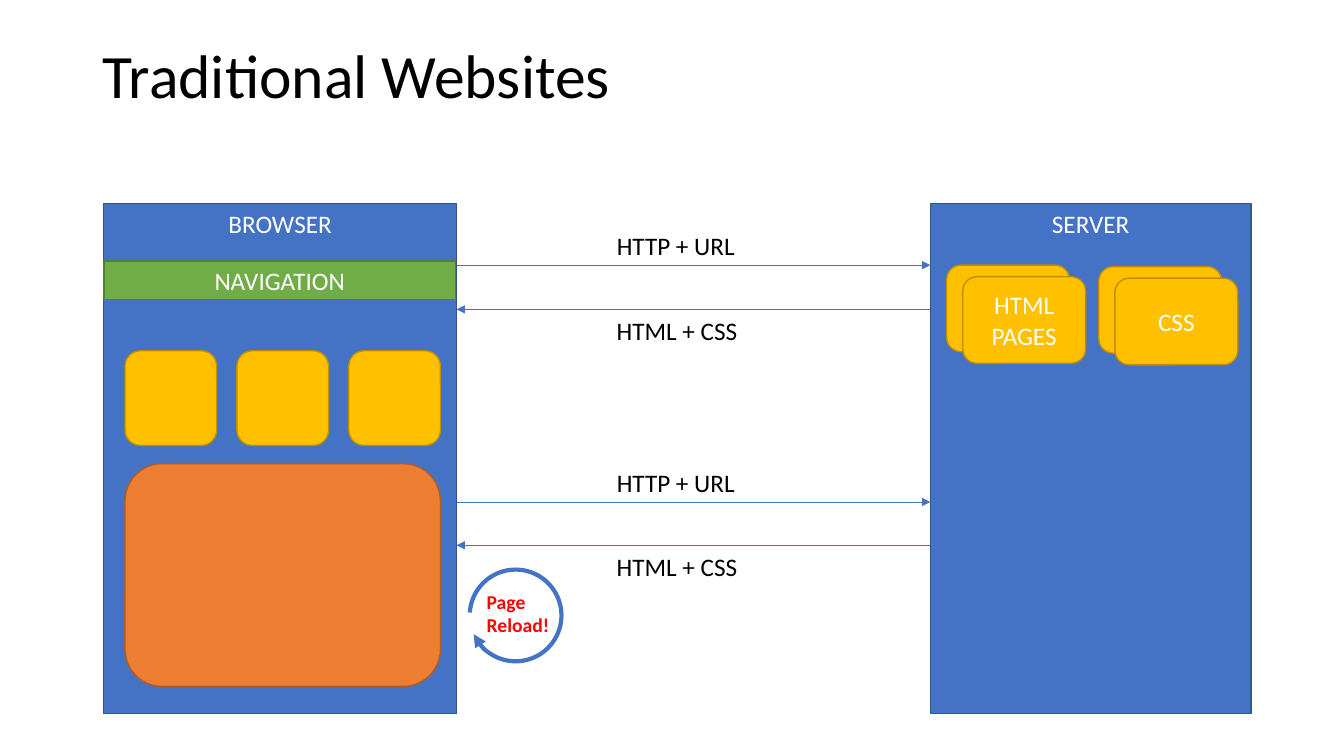
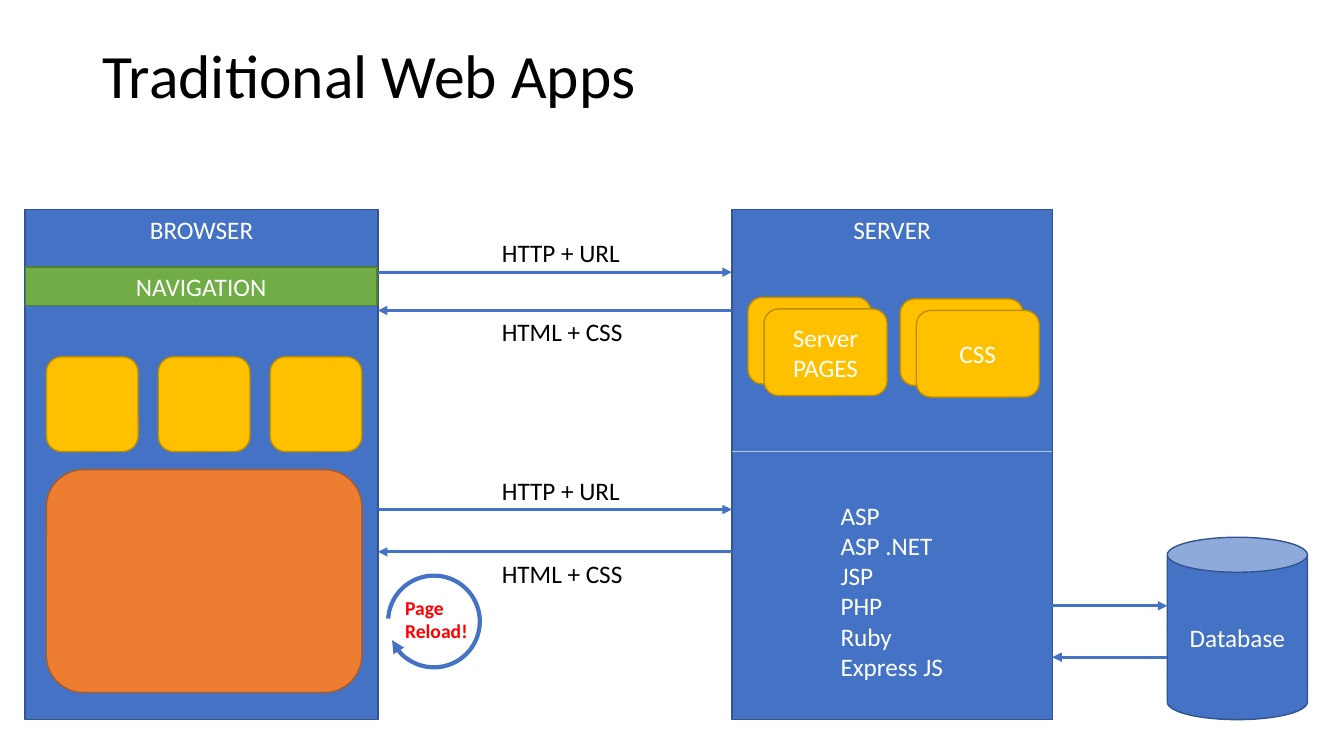
from dataclasses import dataclass

from lxml import etree
from pptx import Presentation
from pptx.dml.color import RGBColor
from pptx.enum.shapes import MSO_CONNECTOR, MSO_SHAPE
from pptx.enum.text import MSO_ANCHOR, MSO_AUTO_SIZE, PP_ALIGN
from pptx.oxml.ns import qn
from pptx.util import Inches, Pt

RECT = MSO_SHAPE.RECTANGLE
ROUND = MSO_SHAPE.ROUNDED_RECTANGLE
CAN = MSO_SHAPE.CAN
ARC = MSO_SHAPE.ARC
STRAIGHT = MSO_CONNECTOR.STRAIGHT
TOP, MIDDLE = MSO_ANCHOR.TOP, MSO_ANCHOR.MIDDLE
LEFT, CENTER = PP_ALIGN.LEFT, PP_ALIGN.CENTER
FIT, FIXED = MSO_AUTO_SIZE.SHAPE_TO_FIT_TEXT, MSO_AUTO_SIZE.NONE

# The grid has square cells, ten to the inch.
COLS, ROWS = 133.33, 75
FRAME_H = 50.6
BROWSER_W, SERVER_W = 35, 31.8


@dataclass(frozen=True)
class Theme:
    font: str = "Calibri"
    blue: tuple = ("4472C4", "325491")
    green: tuple = ("70AD47", "538035")
    gold: tuple = ("FFC000", "BD8E00")
    orange: tuple = ("ED7D31", "AF5C24")
    white: str = "FFFFFF"
    black: str = "000000"
    red: str = "FF0000"
    pale: str = "B4C7E7"
    head: int = 44
    body: int = 18
    note: int = 14
    edge: float = 1
    thin: float = 0.5
    bold: float = 2.25
    loop: float = 3


THEME = Theme()


def cell(count):
    return Inches(count / 10)


def cells(*counts):
    return [cell(n) for n in counts]


def tint(code):
    return RGBColor.from_string(code)


def write(shape, text, size=THEME.body, color=THEME.white, bold=False,
          align=LEFT, anchor=TOP, wrap=True, fit=FIXED, space=None):
    frame = shape.text_frame
    frame.word_wrap = wrap
    frame.auto_size = fit
    frame.vertical_anchor = anchor
    frame.text = text
    for para in frame.paragraphs:
        para.alignment = align
        para.line_spacing = space
        for run in para.runs:
            font = run.font
            font.name, font.size, font.bold = THEME.font, Pt(size), bold
            font.color.rgb = tint(color)


def label(shapes, text, box, **style):
    style = {"color": THEME.black, "wrap": False, "fit": FIT} | style
    write(shapes.add_textbox(*cells(*box)), text, **style)


def block(shapes, kind, box, paint, text="", anchor=MIDDLE):
    shape = shapes.add_shape(kind, *cells(*box))
    shape.shadow.inherit = False
    fill, edge = paint
    shape.fill.solid()
    shape.fill.fore_color.rgb = tint(fill)
    shape.line.color.rgb = tint(edge)
    shape.line.width = Pt(THEME.edge)
    if text:
        write(shape, text, align=CENTER, anchor=anchor)


def stroke(shape, color, width, tip=True):
    shape.line.color.rgb = tint(color)
    shape.line.width = Pt(width)
    if tip:
        line = shape.line._get_or_add_ln()
        etree.SubElement(line, qn("a:tailEnd"), type="triangle")


def link(shapes, start, end, row, width, color=THEME.blue[0], tip=True):
    """Draw a level line between two columns."""
    line = shapes.add_connector(STRAIGHT, *cells(start, row, end, row))
    stroke(line, color, width, tip)
    etree.SubElement(line._element.spPr, qn("a:effectLst"))


def browser(shapes, x, y):
    block(shapes, RECT, (x, y, BROWSER_W, FRAME_H), THEME.blue, "BROWSER", TOP)
    block(shapes, RECT, (x, y + 5.7, 34.9, 3.8), THEME.green, "NAVIGATION")
    for i in range(3):
        block(shapes, ROUND, (x + 2.1 + 11.1 * i, y + 14.6, 9.1, 9.4), THEME.gold)
    block(shapes, ROUND, (x + 2.1, y + 25.8, 31.3, 22.1), THEME.orange)


def server(shapes, x, y, drop, pages):
    """Draw the server with two stacks of files, drop rows below its top."""
    block(shapes, RECT, (x, y, SERVER_W, FRAME_H), THEME.blue, "SERVER", TOP)
    for i, name in enumerate((pages, "CSS")):
        stack = shapes.add_group_shape().shapes
        left, top = x + 1.6 + 15.1 * i, y + drop + 0.15 * i
        for step, text in enumerate(("", name)):
            box = (left + 1.6 * step, top + 1.15 * step, 12.2, 8.6)
            block(stack, ROUND, box, THEME.gold, text)


def traffic(shapes, left, right, x, trips, width):
    """Draw each trip as a request row and a reply row, with labels at x."""
    for ask, reply in trips:
        link(shapes, left, right, ask, width)
        label(shapes, "HTTP + URL", (x, ask - 3.9, 13.9, 4))
        link(shapes, right, left, reply, width)
        label(shapes, "HTML + CSS", (x, reply + 0.1, 14.7, 4))


def reload(shapes, x, y):
    group = shapes.add_group_shape().shapes
    ring = group.add_shape(ARC, *cells(x, y, 9.1, 9.1))
    ring.shadow.inherit = False
    ring.fill.background()
    ring.adjustments[0], ring.adjustments[1] = 162, 145.33
    ring.rotation = 273.6
    stroke(ring, THEME.blue[0], THEME.loop)
    label(group, "Page\nReload!", (x + 0.7, y + 1.5, 8.3, 5.7),
          size=THEME.note, color=THEME.red, bold=True)


def page(deck, title):
    shapes = deck.slides.add_slide(deck.slide_layouts[6]).shapes
    label(shapes, title, (9.2, 4, 115, 14.5), size=THEME.head,
          wrap=True, fit=FIXED, space=0.9)
    return shapes


def sites(deck):
    shapes = page(deck, "Traditional Websites")
    top, left, right = 20.2, 10.3, 92.3
    server(shapes, right, top, 6.1, "HTML PAGES")
    browser(shapes, left, top)
    edge = left + BROWSER_W
    trips = ((26.3, 30.7), (49.8, 54.1))
    traffic(shapes, edge, right, 60.2, trips, THEME.thin)
    reload(shapes, edge + 1.3, top + 36.3)


def apps(deck):
    shapes = page(deck, "Traditional Web Apps")
    top, left, right = 20.8, 2.5, 72.6
    server(shapes, right, top, 8.7, "Server PAGES")
    browser(shapes, left, top)
    edge = left + BROWSER_W
    trips = ((27, 30.8), (50.55, 54.75))
    traffic(shapes, edge, right, 48.8, trips, THEME.bold)
    reload(shapes, edge + 1, top + 36.3)

    side, store = right + SERVER_W, 115.8
    link(shapes, right, side, 44.8, THEME.thin, THEME.pale, tip=False)
    tools = "ASP", "ASP .NET", "JSP", "PHP", "Ruby", "Express JS"
    label(shapes, "\n".join(tools), (82.4, 49.1, 12.3, 19.2), color=THEME.white)
    block(shapes, CAN, (store, 53.3, 13.9, 18.1), THEME.blue, "Database")
    link(shapes, side, store, 60.1, THEME.bold)
    link(shapes, store, side, 65.2, THEME.bold)


def main():
    deck = Presentation()
    deck.slide_width, deck.slide_height = cells(COLS, ROWS)
    sites(deck)
    apps(deck)
    deck.save("out.pptx")


if __name__ == "__main__":
    main()
